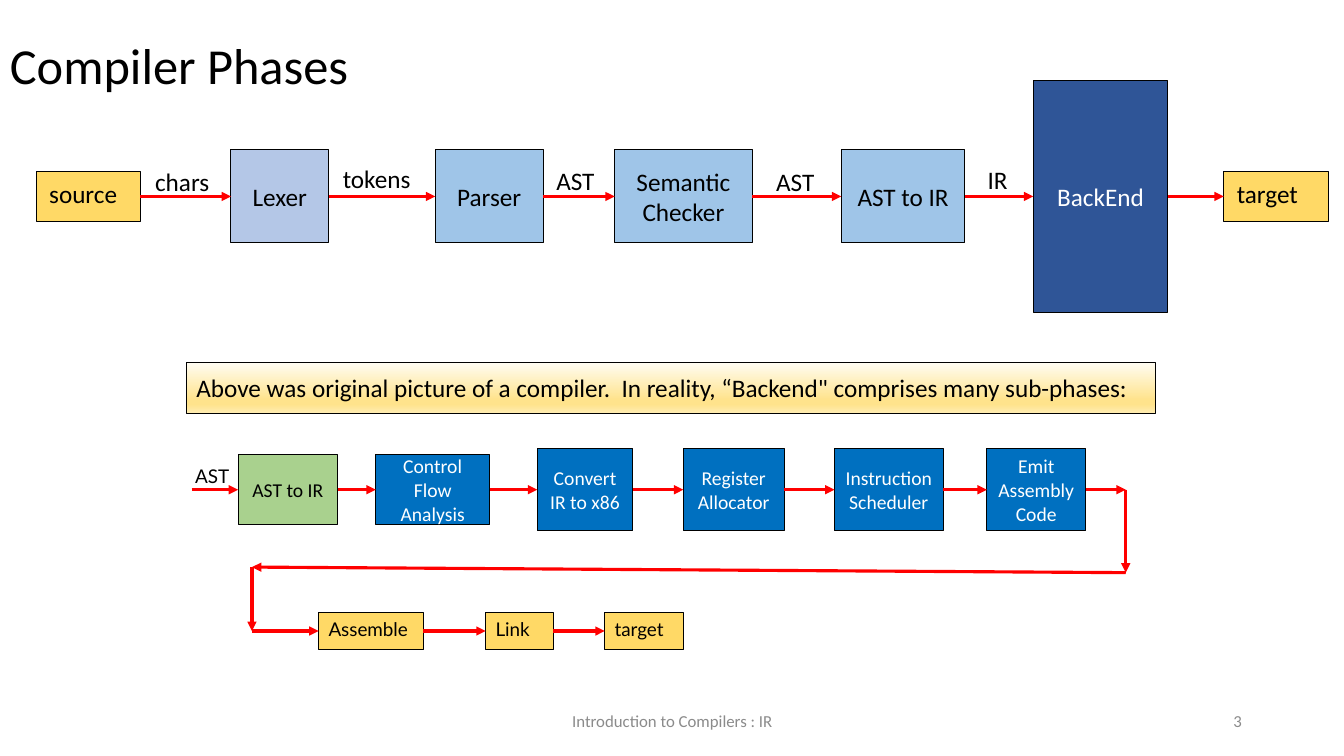
"""Builds the Compiler Phases slide: the classic pipeline and the back-end sub-phases."""
from lxml import etree
from pptx import Presentation
from pptx import util as u
from pptx.dml import color
from pptx.enum import shapes, text
from pptx.oxml import ns

BLACK, WHITE, RED, GREY = "000000", "FFFFFF", "FF0000", "8B8B8B"
YELLOW, LILAC, SKY, GREEN, BLUE, NAVY = "FFD966", "B4C7E7", "9FC5E8", "A9D18E", "0070C0", "2F5597"
LEFT, CENTER, RIGHT = text.PP_ALIGN.LEFT, text.PP_ALIGN.CENTER, text.PP_ALIGN.RIGHT
TOP, MIDDLE = text.MSO_ANCHOR.TOP, text.MSO_ANCHOR.MIDDLE
TIGHT, WIDE, EVEN = (0.25, 0.13), (0.33, 0.18), (0.25, 0.25)

PLAIN = dict(size=18, inset=WIDE)
PHASE = dict(size=18, inset=WIDE, align=CENTER, anchor=MIDDLE)
SUBPHASE = dict(size=14, align=CENTER, anchor=MIDDLE)
SMALL = dict(size=13.5, font="Lato")

# name, left, width, height, fill, text colour, format
PIPELINE_AXIS = 4.95
PIPELINE = [
    ("source", 0.91, 2.63, 1.25, YELLOW, BLACK, PLAIN),
    ("Lexer", 5.82, 2.46, 2.34, LILAC, BLACK, PHASE),
    ("Parser", 10.97, 2.72, 2.34, SKY, BLACK, PHASE),
    ("Semantic\nChecker", 15.49, 3.47, 2.34, SKY, BLACK, PHASE),
    ("AST to IR", 21.2, 3.12, 2.34, SKY, BLACK, PHASE),
    ("BackEnd", 26.04, 3.39, 5.84, NAVY, WHITE, PHASE),
    ("target", 30.84, 2.63, 1.25, YELLOW, BLACK, PLAIN),
]
BACKEND_AXIS = 12.34
BACKEND = [
    ("AST to IR", 6, 2.51, 1.75, GREEN, BLACK, SUBPHASE),
    ("Control Flow Analysis", 9.47, 2.87, 1.75, BLUE, WHITE, SUBPHASE),
    ("Convert IR to x86", 13.54, 2.41, 2.08, BLUE, WHITE, SUBPHASE),
    ("Register Allocator", 17.22, 2.54, 2.08, BLUE, WHITE, SUBPHASE),
    ("Instruction\nScheduler", 21.03, 2.74, 2.08, BLUE, WHITE, SUBPHASE),
    ("Emit Assembly Code", 24.87, 2.49, 2.08, BLUE, WHITE, SUBPHASE),
]
OUTPUT_AXIS = 15.9
OUTPUT = [
    ("Assemble", 8.03, 2.64, 0.94, YELLOW, BLACK, SMALL),
    ("Link", 12.24, 1.7, 0.94, YELLOW, BLACK, SMALL),
    ("target", 15.24, 1.98, 0.94, YELLOW, BLACK, SMALL),
]
ENTRY = (4.83, BACKEND_AXIS)
RETURN_PATH = [(28.37, BACKEND_AXIS), (28.37, 14.43), (6.35, 14.29), (6.35, OUTPUT_AXIS)]

# text, left, top, width, height, format
LABELS = [
    ("Compiler Phases", 0, 1.02, 21.89, 1.4, dict(size=36, anchor=MIDDLE, spacing=0.9)),
    ("chars", 3.58, 4.01, 2.26, 1.25, PLAIN),
    ("tokens", 8.31, 3.94, 2.62, 1.25, PLAIN),
    ("AST", 13.69, 3.99, 2.08, 1.25, PLAIN),
    ("AST", 19.23, 4.01, 2.08, 1.02, PLAIN),
    ("IR", 24.56, 3.96, 2.08, 1.02, PLAIN),
    ("AST", 4.67, 11.58, 1.57, 0.76, SMALL),
    ("Introduction to Compilers : IR", 11.23, 17.65, 11.43, 1.02,
     dict(size=12, ink=GREY, align=CENTER, anchor=MIDDLE)),
    ("3", 23.93, 17.65, 7.62, 1.02, dict(size=12, ink=GREY, align=RIGHT, anchor=MIDDLE)),
]
BANNER = "Above was original picture of a compiler.  In reality, “Backend\" comprises many sub-phases:"
BANNER_PLACE = (4.7, 9.14, 24.41, 1.27)
BANNER_STOPS = [(0, "FFFCF2"), (74, "FFE38C"), (83, "FFE38C"), (100, "FFECB2")]


def rgb(value):
    return color.RGBColor.from_string(value)


def write(shape, words, size, font="Calibri", ink=BLACK, align=LEFT, anchor=TOP, inset=TIGHT, spacing=None):
    frame = shape.text_frame
    frame.word_wrap = True
    frame.vertical_anchor = anchor
    frame.margin_left = frame.margin_right = u.Cm(inset[0])
    frame.margin_top = frame.margin_bottom = u.Cm(inset[1])
    frame.text = words
    for para in frame.paragraphs:
        para.alignment = align
        para.line_spacing = spacing
        for span in para.runs:
            span.font.size = u.Pt(size)
            span.font.name = font
            span.font.color.rgb = rgb(ink)


def add_box(slide, place):
    box = slide.shapes.add_shape(shapes.MSO_SHAPE.RECTANGLE, *map(u.Cm, place))
    box.shadow.inherit = False
    box.line.color.rgb = rgb(BLACK)
    box.line.width = u.Pt(0.75)
    return box


def add_row(slide, row, axis):
    boxes = []
    for name, left, width, height, fill, ink, style in row:
        box = add_box(slide, (left, axis - height / 2, width, height))
        box.fill.solid()
        box.fill.fore_color.rgb = rgb(fill)
        write(box, name, ink=ink, **style)
        boxes.append(box)
    return boxes


def add_arrow(slide, start, end):
    points = [map(u.Cm, stop) if isinstance(stop, tuple) else (0, 0) for stop in (start, end)]
    arrow = slide.shapes.add_connector(shapes.MSO_CONNECTOR.STRAIGHT, *points[0], *points[1])
    if not isinstance(start, tuple):
        arrow.begin_connect(start, 3)
    if not isinstance(end, tuple):
        arrow.end_connect(end, 1)
    arrow.line.color.rgb = rgb(RED)
    arrow.line.width = u.Pt(2.25)
    etree.SubElement(arrow.line._get_or_add_ln(), ns.qn("a:tailEnd"), type="triangle")
    etree.SubElement(arrow._element.spPr, ns.qn("a:effectLst"))


def chain(slide, stops):
    for start, end in zip(stops, stops[1:]):
        add_arrow(slide, start, end)


def add_banner(slide):
    box = add_box(slide, BANNER_PLACE)
    box.fill.gradient()
    box.fill.gradient_angle = 270
    stops = box._element.spPr.find(ns.qn("a:gradFill")).find(ns.qn("a:gsLst"))
    for stop in list(stops):
        stops.remove(stop)
    for position, value in BANNER_STOPS:
        stop = etree.SubElement(stops, ns.qn("a:gs"), pos=str(position * 1000))
        etree.SubElement(stop, ns.qn("a:srgbClr"), val=value)
    write(box, BANNER, size=18, inset=EVEN)


def main():
    deck = Presentation()
    deck.slide_width, deck.slide_height = u.Cm(33.87), u.Cm(19.05)
    slide = deck.slides.add_slide(deck.slide_layouts[6])
    add_banner(slide)
    chain(slide, add_row(slide, PIPELINE, PIPELINE_AXIS))
    backend = add_row(slide, BACKEND, BACKEND_AXIS)
    output = add_row(slide, OUTPUT, OUTPUT_AXIS)
    chain(slide, [ENTRY, *backend, *RETURN_PATH, *output])
    for words, *place, style in LABELS:
        write(slide.shapes.add_textbox(*map(u.Cm, place)), words, **style)
    deck.save("out.pptx")


if __name__ == "__main__":
    main()
